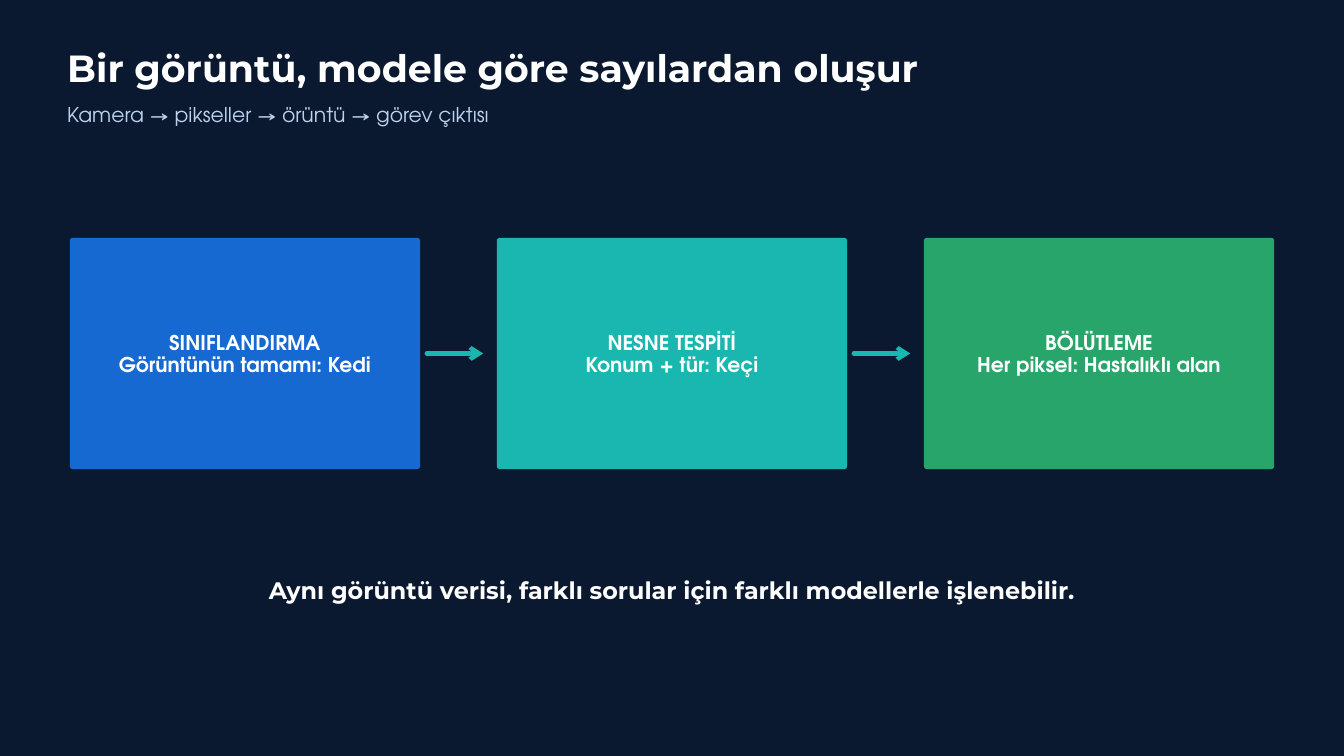
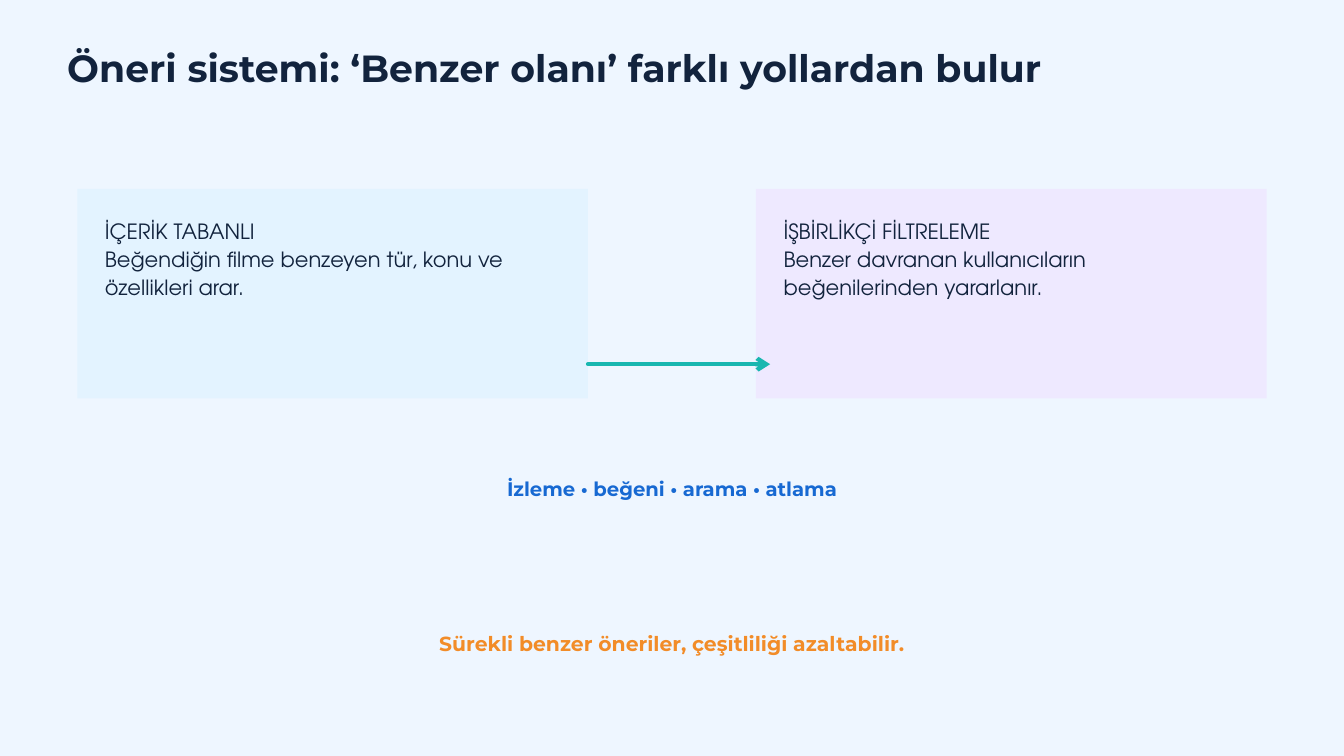
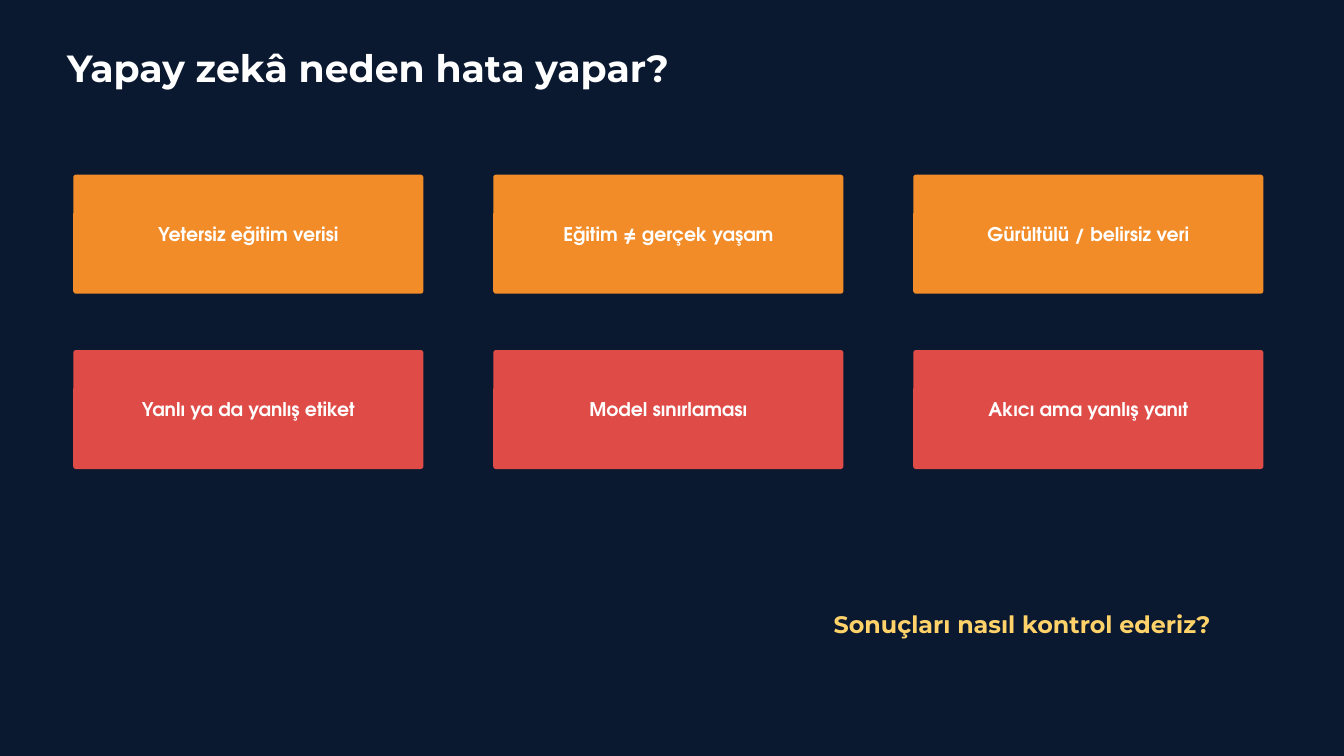
from dataclasses import dataclass
from itertools import product

from lxml import etree
from pptx import Presentation
from pptx import util as u
from pptx.dml import color
from pptx.enum import shapes, text
from pptx.oxml import ns
from pptx.slide import Slide
from pptx.text.text import TextFrame

COLORS = {
    "night": "0B1930",
    "sky": "EEF6FF",
    "ink": "12233D",
    "white": "FFFFFF",
    "mist": "BCD3ED",
    "blue": "1769D2",
    "teal": "19B7B0",
    "green": "28A56A",
    "orange": "F28C28",
    "red": "DF4B47",
    "yellow": "FFD36A",
    "pale_blue": "E3F3FF",
    "pale_violet": "EEE9FF",
}
HEADING = "Montserrat"
BODY = "TeX Gyre Adventor"
LEFT = text.PP_ALIGN.LEFT
CENTER = text.PP_ALIGN.CENTER
MIDDLE = text.MSO_ANCHOR.MIDDLE
TOP = text.MSO_ANCHOR.TOP
ROUNDED = shapes.MSO_SHAPE.ROUNDED_RECTANGLE
RECTANGLE = shapes.MSO_SHAPE.RECTANGLE
CARD_WIDTH = 5.21
CORNER = 0.04


@dataclass(frozen=True)
class Style:
    font: str
    size: float
    spacing: float
    bold: bool = True
    align: text.PP_ALIGN = CENTER


@dataclass(frozen=True)
class Area:
    left: float
    top: float
    width: float
    height: float

    def lengths(self) -> list[u.Length]:
        return [u.Inches(n) for n in (self.left, self.top, self.width, self.height)]


@dataclass(frozen=True)
class Block:
    area: Area
    lines: tuple[str, ...]
    fill: str


TITLE = Style(HEADING, 40.5, 43.7, align=LEFT)
SUBTITLE = Style(BODY, 21.8, 30.4, bold=False, align=LEFT)
TASK = Style(BODY, 21.8, 23.9)
CAUSE = Style(BODY, 20.2, 22.3)
PANEL = Style(BODY, 22.5, 30.4, bold=False, align=LEFT)
MESSAGE = Style(HEADING, 25.5, 35.7)
SIGNALS = Style(HEADING, 21, 29.4)
WARNING = Style(HEADING, 21.8, 30.4)


def rgb(name: str) -> color.RGBColor:
    return color.RGBColor.from_string(COLORS[name])


def write(
    frame: TextFrame,
    lines: tuple[str, ...],
    style: Style,
    ink: str,
    margins: tuple[float, float, float, float] = (0, 0, 0, 0),
    anchor: text.MSO_ANCHOR = TOP,
) -> None:
    left, top, right, bottom = map(u.Inches, margins)
    frame_format = {
        "word_wrap": True,
        "auto_size": text.MSO_AUTO_SIZE.NONE,
        "vertical_anchor": anchor,
        "margin_left": left,
        "margin_top": top,
        "margin_right": right,
        "margin_bottom": bottom,
    }
    for name, value in frame_format.items():
        setattr(frame, name, value)
    font_format = {"name": style.font, "size": u.Pt(style.size), "bold": style.bold}
    for index, line in enumerate(lines):
        para = frame.add_paragraph() if index else frame.paragraphs[0]
        para.alignment = style.align
        para.line_spacing = u.Pt(style.spacing)
        span = para.add_run()
        span.text = line
        span.font.color.rgb = rgb(ink)
        for name, value in font_format.items():
            setattr(span.font, name, value)


def add_page(deck, title: str, background: str, ink: str) -> Slide:
    page = deck.slides.add_slide(deck.slide_layouts[5])
    page.background.fill.solid()
    page.background.fill.fore_color.rgb = rgb(background)
    box = page.shapes.title
    places = Area(1, 0.74, 17.7, 0.61).lengths()
    for name, value in zip(("left", "top", "width", "height"), places):
        setattr(box, name, value)
    write(box.text_frame, (title,), TITLE, ink)
    return page


def add_text(page: Slide, area: Area, line: str, style: Style, ink: str) -> None:
    box = page.shapes.add_textbox(*area.lengths())
    write(box.text_frame, (line,), style, ink)


def add_block(page: Slide, block: Block, preset: shapes.MSO_SHAPE) -> TextFrame:
    box = page.shapes.add_shape(preset, *block.area.lengths())
    box.shadow.inherit = False
    box.fill.solid()
    box.fill.fore_color.rgb = rgb(block.fill)
    box.line.fill.background()
    if preset == ROUNDED:
        box.adjustments[0] = CORNER / min(block.area.width, block.area.height)
    return box.text_frame


def add_card(page: Slide, block: Block, style: Style) -> None:
    frame = add_block(page, block, ROUNDED)
    write(frame, block.lines, style, "white", (0.06, 0.08, 0.06, 0.06), MIDDLE)


def add_panel(page: Slide, block: Block) -> None:
    frame = add_block(page, block, RECTANGLE)
    write(frame, block.lines, PANEL, "ink", (0.41, 0.39, 0.41, 0))


def add_arrow(page: Slide, start: float, end: float, level: float) -> None:
    ends = [u.Inches(n) for n in (start, level, end, level)]
    arrow = page.shapes.add_connector(shapes.MSO_CONNECTOR.STRAIGHT, *ends)
    arrow.line.width = u.Pt(4.5)
    arrow.line.color.rgb = rgb("teal")
    properties = arrow.element.spPr
    line = properties.find(ns.qn("a:ln"))
    line.set("cap", "rnd")
    etree.SubElement(line, ns.qn("a:round"))
    etree.SubElement(line, ns.qn("a:tailEnd"), type="arrow")
    etree.SubElement(properties, ns.qn("a:effectLst"))


def build_vision(deck) -> None:
    page = add_page(deck, "Bir görüntü, modele göre sayılardan oluşur", "night", "white")
    add_text(page, Area(1, 1.46, 12.5, 0.41),
             "Kamera → pikseller → örüntü → görev çıktısı", SUBTITLE, "mist")
    tasks = (
        ("SINIFLANDIRMA", "Görüntünün tamamı: Kedi", "blue"),
        ("NESNE TESPİTİ", "Konum + tür: Keçi", "teal"),
        ("BÖLÜTLEME", "Her piksel: Hastalıklı alan", "green"),
    )
    first, pitch = 1.04, 6.355
    for column, (task, answer, fill) in enumerate(tasks):
        left = first + column * pitch
        if column:
            start = left - pitch + CARD_WIDTH + 0.1
            add_arrow(page, start, start + 0.84, 5.26)
        area = Area(left, 3.54, CARD_WIDTH, 3.44)
        add_card(page, Block(area, (task, answer), fill), TASK)
    add_text(page, Area(3.85, 8.49, 12.3, 0.47),
             "Aynı görüntü verisi, farklı sorular için farklı modellerle işlenebilir.",
             MESSAGE, "white")


def build_recommendation(deck) -> None:
    page = add_page(deck, "Öneri sistemi: ‘Benzer olanı’ farklı yollardan bulur", "sky", "ink")
    panels = (
        Block(Area(1.15, 2.81, 7.6, 3.12),
              ("İÇERİK TABANLI", "Beğendiğin filme benzeyen tür, konu ve özellikleri arar."),
              "pale_blue"),
        Block(Area(11.25, 2.81, 7.6, 3.12),
              ("İŞBİRLİKÇİ FİLTRELEME",
               "Benzer davranan kullanıcıların beğenilerinden yararlanır."),
              "pale_violet"),
    )
    for panel in panels:
        add_panel(page, panel)
    add_arrow(page, 8.75, 11.46, 5.42)
    add_text(page, Area(6.5, 7.04, 7, 0.39),
             "İzleme • beğeni • arama • atlama", SIGNALS, "blue")
    add_text(page, Area(5.5, 9.33, 9, 0.4),
             "Sürekli benzer öneriler, çeşitliliği azaltabilir.", WARNING, "orange")


def build_errors(deck) -> None:
    page = add_page(deck, "Yapay zekâ neden hata yapar?", "night", "white")
    causes = (
        "Yetersiz eğitim verisi", "Eğitim ≠ gerçek yaşam", "Gürültülü / belirsiz veri",
        "Yanlı ya da yanlış etiket", "Model sınırlaması", "Akıcı ama yanlış yanıt",
    )
    fills = ("orange", "red")
    for cause, (row, column) in zip(causes, product(range(2), range(3))):
        area = Area(1.09 + column * 6.25, 2.6 + row * 2.61, CARD_WIDTH, 1.77)
        add_card(page, Block(area, (cause,), fills[row]), CAUSE)
    add_text(page, Area(11.67, 9.01, 7.08, 0.47),
             "Sonuçları nasıl kontrol ederiz?", MESSAGE, "yellow")


def main() -> None:
    deck = Presentation()
    deck.slide_width = u.Inches(20)
    deck.slide_height = u.Inches(11.25)
    for build in (build_vision, build_recommendation, build_errors):
        build(deck)
    deck.save("out.pptx")


if __name__ == "__main__":
    main()
